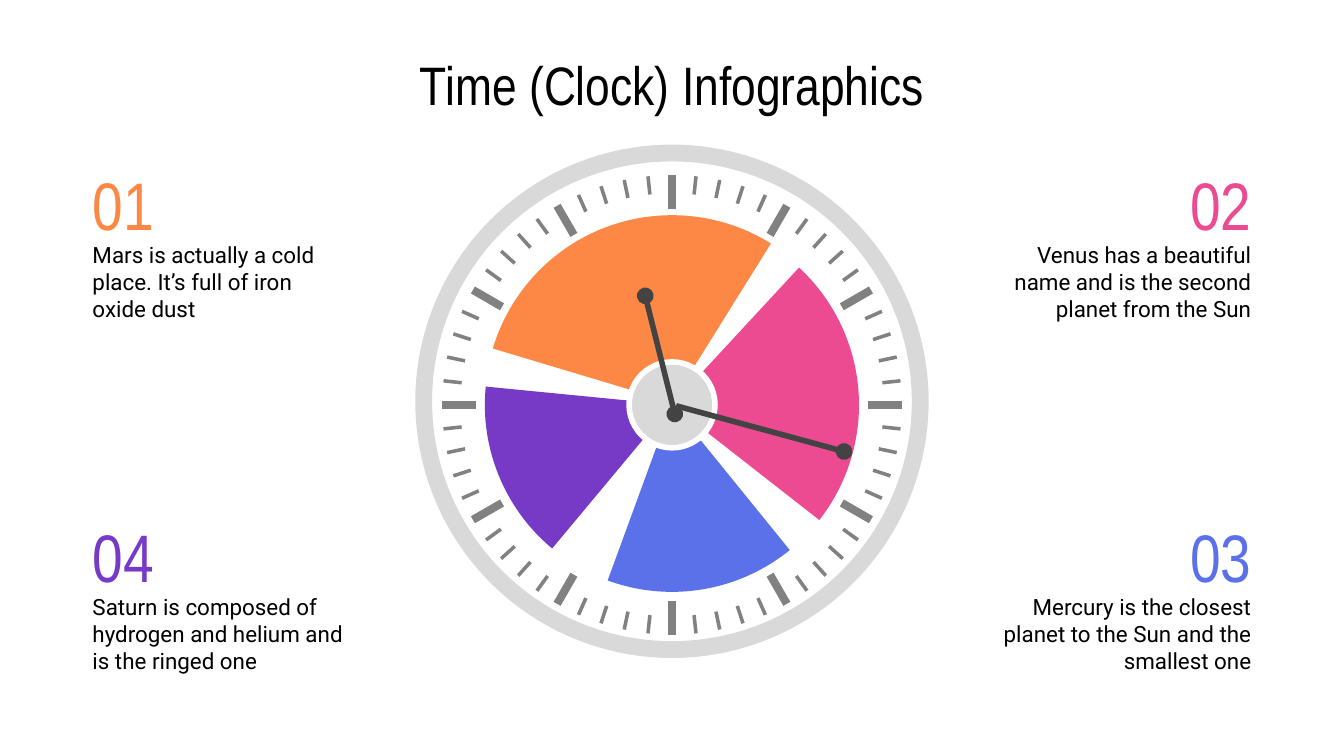
import math

import pptx
import pptx.dml.color
import pptx.enum.shapes
import pptx.enum.text
import pptx.oxml
import pptx.oxml.ns
import pptx.util

Pt = pptx.util.Pt
SHAPE = pptx.enum.shapes.MSO_SHAPE
ALIGN = pptx.enum.text.PP_ALIGN
ANCHOR = pptx.enum.text.MSO_ANCHOR

ORANGE, PINK, BLUE, PURPLE = "FD8845", "EC4A91", "5B71E9", "763AC7"
PALE, GREY, DARK, WHITE, BLACK = "D9D9D9", "818181", "434343", "FFFFFF", "000000"

# colour, start and end angle in degrees clockwise from three o'clock, vertical shift
SECTORS = [
    (BLUE, 50.95, 110.1, 0),
    (PURPLE, 129.81, 185.59, 0),
    (PINK, 312.81, 38.02, 0),
    (ORANGE, 196.7, 301.94, -1.4),
]
# number, colour, wording, left, top, alignment
NOTES = [
    ("01", ORANGE, "Mars is actually a cold place. It’s full of iron oxide dust",
     42.5, 74, ALIGN.LEFT),
    ("02", PINK, "Venus has a beautiful name and is the second planet from the Sun",
     525.5, 74, ALIGN.RIGHT),
    ("03", BLUE, "Mercury is the closest planet to the Sun and the smallest one",
     525.5, 262.5, ALIGN.RIGHT),
    ("04", PURPLE, "Saturn is composed of hydrogen and helium and is the ringed one",
     42.5, 262.5, ALIGN.LEFT),
]


def rgb(value):
    return pptx.dml.color.RGBColor.from_string(value)


def paint(shape, fill=None, line=None, width=0):
    shape.shadow.inherit = False
    if fill:
        shape.fill.solid()
        shape.fill.fore_color.rgb = rgb(fill)
    else:
        shape.fill.background()
    if line:
        shape.line.color.rgb = rgb(line)
        shape.line.width = Pt(width)
    else:
        shape.line.fill.background()


def add_text(slide, box, wording, font, size, color, align):
    """Add a wrapped one-paragraph text box and return its frame."""
    frame = slide.shapes.add_textbox(*map(Pt, box)).text_frame
    frame.word_wrap = True
    frame.margin_left = frame.margin_right = Pt(7.2)
    frame.margin_top = frame.margin_bottom = Pt(7.2)
    frame.text = wording
    paragraph = frame.paragraphs[0]
    paragraph.alignment = align
    paragraph.font.name = font
    paragraph.font.size = Pt(size)
    paragraph.font.color.rgb = rgb(color)
    return frame


def add_title(slide, box):
    frame = add_text(slide, box, "Time (Clock) Infographics",
                     "Arial Narrow", 29, BLACK, ALIGN.CENTER)
    frame.vertical_anchor = ANCHOR.MIDDLE


def add_note(slide, box, number, color, wording, align):
    left, top, width, height = box
    number_width, body_drop = 103, 48.2
    number_left = left + width - number_width if align == ALIGN.RIGHT else left
    heading = add_text(slide, (number_left, top, number_width, 30), number,
                       "Arial Narrow", 36, color, align).paragraphs[0]
    heading.line_spacing = 1.15
    heading.space_after = Pt(16)
    add_text(slide, (left, top + body_drop, width, height - body_drop), wording,
             "Roboto", 12, BLACK, align)


def add_disc(slide, kind, x, y, radius):
    return slide.shapes.add_shape(kind, Pt(x - radius), Pt(y - radius),
                                  Pt(2 * radius), Pt(2 * radius))


def add_tick(slide, x, y, minute):
    """Draw one minute mark; every fifth is longer and thicker."""
    outer = 123.1
    length, thickness = (18, 4.3) if minute % 5 == 0 else (9.8, 1.9)
    angle = math.radians(6 * minute)
    sin, cos = math.sin(angle), math.cos(angle)
    half = thickness / 2
    corners = [
        (Pt(x + across * cos + out * sin), Pt(y + across * sin - out * cos))
        for across, out in [(-half, outer), (half, outer),
                            (half, outer - length), (-half, outer - length)]
    ]
    outline = slide.shapes.build_freeform(*corners[0], scale=1.0)
    outline.add_line_segments(corners[1:], close=True)
    paint(outline.convert_to_shape(), GREY)


def add_hand(slide, start, end, ends):
    hand = slide.shapes.add_connector(
        pptx.enum.shapes.MSO_CONNECTOR.STRAIGHT, *map(Pt, start + end))
    hand.line.color.rgb = rgb(DARK)
    hand.line.width = Pt(3)
    line = hand.line._get_or_add_ln()
    for tag in ends:
        knob = pptx.oxml.parse_xml(f'<a:{tag} {pptx.oxml.ns.nsdecls("a")} type="oval"/>')
        line.append(knob)
    hand._element.spPr.append(
        pptx.oxml.parse_xml(f'<a:effectLst {pptx.oxml.ns.nsdecls("a")}/>'))


def add_clock(slide, box):
    left, top, width, height = box
    x, y = left + width / 2, top + height / 2 + 1.9
    rim = slide.shapes.add_shape(SHAPE.OVAL, *map(Pt, box))
    paint(rim, line=PALE, width=9)
    for color, start, end, shift in SECTORS:
        sector = add_disc(slide, SHAPE.PIE, x, y + shift, 100.2)
        # Adjustments count 60000ths of a degree, divided by 100000
        sector.adjustments[0] = start * 0.6
        sector.adjustments[1] = end * 0.6
        paint(sector, color)
    for minute in range(60):
        add_tick(slide, x, y, minute)
    paint(add_disc(slide, SHAPE.OVAL, x, y, 23), PALE, WHITE, 3)
    add_hand(slide, (x + 1.5, y + 4.9), (x - 14.3, y - 58.4), ["headEnd", "tailEnd"])
    add_hand(slide, (x + 2.2, y + 0.5), (x + 92.2, y + 25), ["tailEnd"])


def main():
    deck = pptx.Presentation()
    deck.slide_width, deck.slide_height = Pt(720), Pt(405)
    slide = deck.slides.add_slide(deck.slide_layouts[6])
    add_clock(slide, (227, 82, 266, 266))
    add_title(slide, (36, 34, 648, 22))
    for number, color, wording, left, top, align in NOTES:
        add_note(slide, (left, top, 152, 93.5), number, color, wording, align)
    deck.save("out.pptx")


if __name__ == "__main__":
    main()
